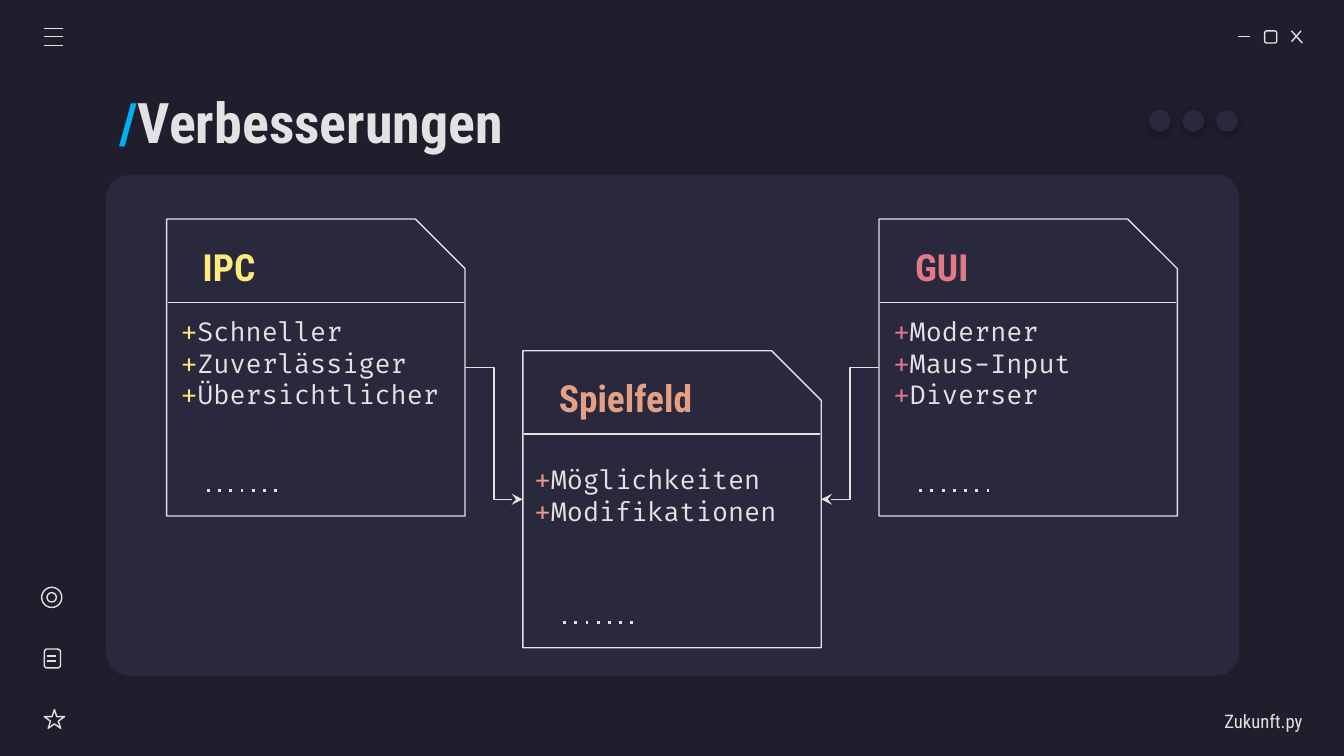
"""Build the "Verbesserungen" slide with three linked cards."""
from lxml import etree
from pptx import Presentation
from pptx.dml.color import RGBColor
from pptx.enum import shapes, text
from pptx.oxml import ns
from pptx.util import Inches, Pt

BACK = RGBColor(0x1E, 0x1E, 0x2C)
PANEL = RGBColor(0x29, 0x28, 0x3D)
LIGHT = RGBColor(0xE2, 0xE2, 0xE2)
BLUE = RGBColor(0x00, 0xB0, 0xF0)
YELLOW = RGBColor(0xFF, 0xEA, 0x7D)
ORANGE = RGBColor(0xE5, 0xA0, 0x83)
ROSE = RGBColor(0xE0, 0x7A, 0x88)
HEAD, CODE = "Roboto Condensed", "Fira Code"
MS = shapes.MSO_SHAPE

TITLE = ("/", "Verbesserungen")
FOOTER = "Zukunft.py"
CARD_W, CARD_H, CARD_STEP = 2.22, 2.21, 2.65
CARDS = [
    {"name": "IPC", "color": YELLOW, "top": 1.63, "list": (0.01, 0.62),
     "items": ["Schneller", "Zuverlässiger", "Übersichtlicher"]},
    {"name": "Spielfeld", "color": ORANGE, "top": 2.61, "list": (-0.01, 0.74),
     "items": ["Möglichkeiten", "Modifikationen"]},
    {"name": "GUI", "color": ROSE, "top": 1.63, "list": (0.01, 0.62),
     "items": ["Moderner", "Maus-Input", "Diverser"]},
]
ICON_LINES = [
    (9.21, 0.27, 9.3, 0.27), (9.61, 0.23, 9.69, 0.32), (9.68, 0.23, 9.61, 0.31),
    (0.33, 0.21, 0.47, 0.21), (0.33, 0.27, 0.47, 0.27), (0.33, 0.34, 0.47, 0.34),
    (0.35, 4.88, 0.42, 4.88), (0.35, 4.92, 0.42, 4.92),
]
ICON_SHAPES = [
    (MS.ROUNDED_RECTANGLE, 9.41, 0.23, 0.09, 0.09),
    (MS.STAR_5_POINT, 0.33, 5.28, 0.15, 0.14),
    (MS.ROUNDED_RECTANGLE, 0.33, 4.83, 0.12, 0.14),
    (MS.OVAL, 0.31, 4.37, 0.15, 0.15),
    (MS.OVAL, 0.35, 4.41, 0.07, 0.07),
]
DOTS = [8.55, 8.8, 9.05]

prs = Presentation()
prs.slide_width = Inches(10)
prs.slide_height = prs.slide_width * 9 // 16
s = prs.slides.add_slide(prs.slide_layouts[6])
s.background.fill.solid()
s.background.fill.fore_color.rgb = BACK


def add_shape(kind, x, y, w, h, fill=None, adj=None):
    sp = s.shapes.add_shape(kind, Inches(x), Inches(y), Inches(w), Inches(h))
    sp.shadow.inherit = False
    if adj is not None:
        sp.adjustments[0] = adj
    if fill is None:
        sp.fill.background()
        sp.line.color.rgb = LIGHT
        sp.line.width = Pt(0.75)
    else:
        sp.fill.solid()
        sp.fill.fore_color.rgb = fill
        sp.line.fill.background()
    return sp


def add_line(x1, y1, x2, y2, width=0.75, kind=shapes.MSO_CONNECTOR.STRAIGHT):
    c = s.shapes.add_connector(kind, Inches(x1), Inches(y1), Inches(x2), Inches(y2))
    c.line.color.rgb = LIGHT
    c.line.width = Pt(width)
    etree.SubElement(c._element.spPr, ns.qn("a:effectLst"))
    return c


def add_text(x, y, w, h, lines, font, size, bold=False, middle=True):
    sp = s.shapes.add_textbox(Inches(x), Inches(y), Inches(w), Inches(h))
    tf = sp.text_frame
    tf.word_wrap = True
    tf.margin_left = tf.margin_right = tf.margin_top = tf.margin_bottom = Inches(0.1)
    tf.vertical_anchor = text.MSO_ANCHOR.MIDDLE if middle else text.MSO_ANCHOR.TOP
    for i, line in enumerate(lines):
        p = tf.paragraphs[0] if i == 0 else tf.add_paragraph()
        for words, color in line:
            r = p.add_run()
            r.text = words
            r.font.name, r.font.size, r.font.bold = font, Pt(size), bold
            r.font.color.rgb = color
    return tf


def add_shadow(sp):
    effects = sp._element.spPr.find(ns.qn("a:effectLst"))
    shadow = etree.SubElement(effects, ns.qn("a:outerShdw"), blurRad=str(Pt(4.5)),
                              dist=str(Pt(1.5)), dir="5400000", algn="bl", rotWithShape="0")
    black = etree.SubElement(shadow, ns.qn("a:srgbClr"), val="000000")
    etree.SubElement(black, ns.qn("a:alpha"), val="30000")


def style_line(c, tag, **attrs):
    etree.SubElement(c._element.spPr.find(ns.qn("a:ln")), ns.qn(tag), **attrs)


def add_card(card, x):
    y, color = card["top"], card["color"]
    dx, dy = card["list"]
    add_shape(MS.SNIP_1_RECTANGLE, x, y, CARD_W, CARD_H, adj=0.167)
    add_text(x + 0.17, y + 0.13, 1.49, 0.44, [[(card["name"], color)]], HEAD, 20, True)
    items = [[("+", color), (item, LIGHT)] for item in card["items"]]
    add_text(x + dx, y + dy, 2.19, 1.29, items, CODE, 14, middle=False)
    add_line(x + 0.01, y + 0.62, x + CARD_W - 0.01, y + 0.62)
    dots = add_line(x + 0.3, y + 2.02, x + 0.87, y + 2.02, 1.5)
    style_line(dots, "a:prstDash", val="dot")


def add_arrow(x1, y1, x2, y2):
    c = add_line(x1, y1, x2, y2, kind=shapes.MSO_CONNECTOR.ELBOW)
    style_line(c, "a:tailEnd", type="stealth")


add_shape(MS.ROUNDED_RECTANGLE, 0.79, 1.3, 8.43, 3.73, PANEL, 0.047)
for ends in ICON_LINES:
    add_line(*ends)
for icon in ICON_SHAPES:
    add_shape(*icon)
for x in DOTS:
    add_shadow(add_shape(MS.OVAL, x, 0.82, 0.16, 0.16, PANEL))

add_text(0.79, 0.59, 7.88, 0.63, [list(zip(TITLE, (BLUE, LIGHT)))], HEAD, 30, True)
tf = add_text(8.52, 5.2, 1.17, 0.3, [[(FOOTER, LIGHT)]], HEAD, 10)
tf.margin_right = 0
tf.paragraphs[0].alignment = text.PP_ALIGN.RIGHT
tf.paragraphs[0].line_spacing = 1.15

lefts = [1.24 + i * CARD_STEP for i in range(len(CARDS))]
for card, x in zip(CARDS, lefts):
    add_card(card, x)
ipc_y, field_y, gui_y = [card["top"] + CARD_H / 2 for card in CARDS]
add_arrow(lefts[0] + CARD_W, ipc_y, lefts[1], field_y)
add_arrow(lefts[2], gui_y, lefts[1] + CARD_W, field_y)

prs.save("out.pptx")
